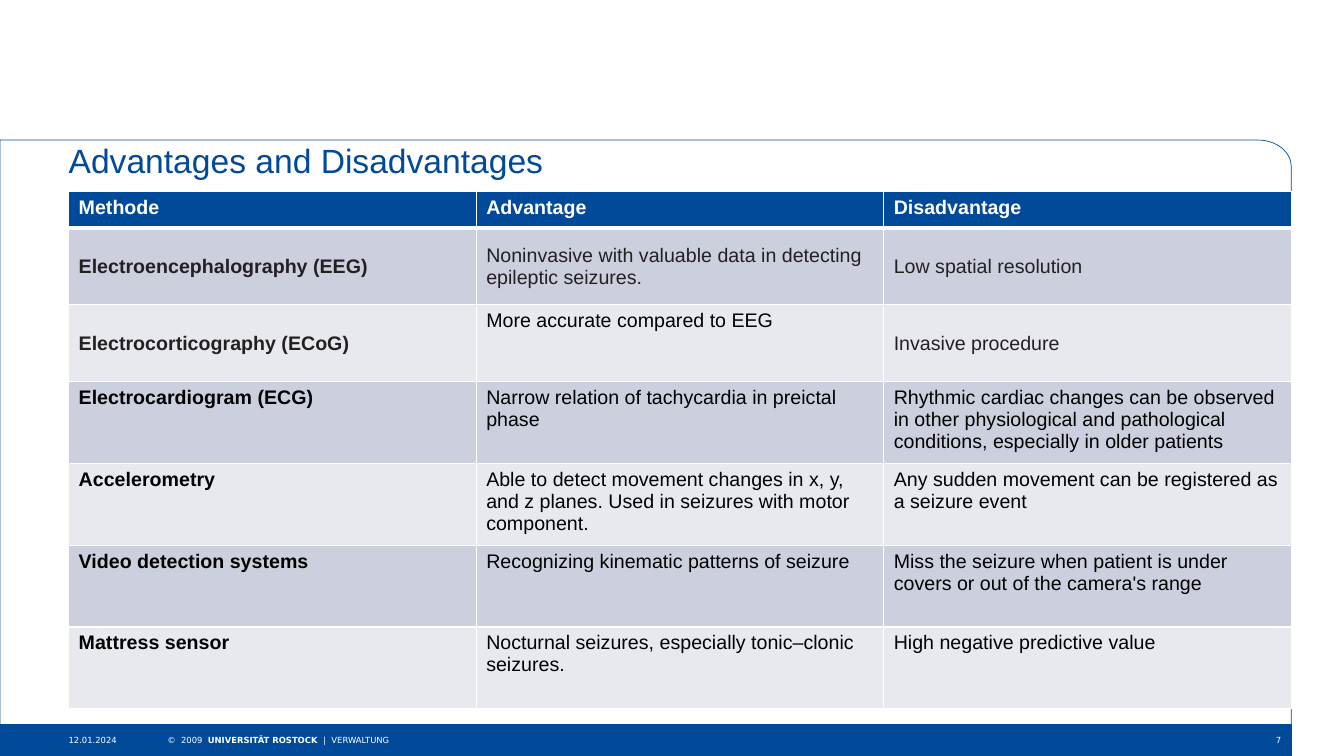
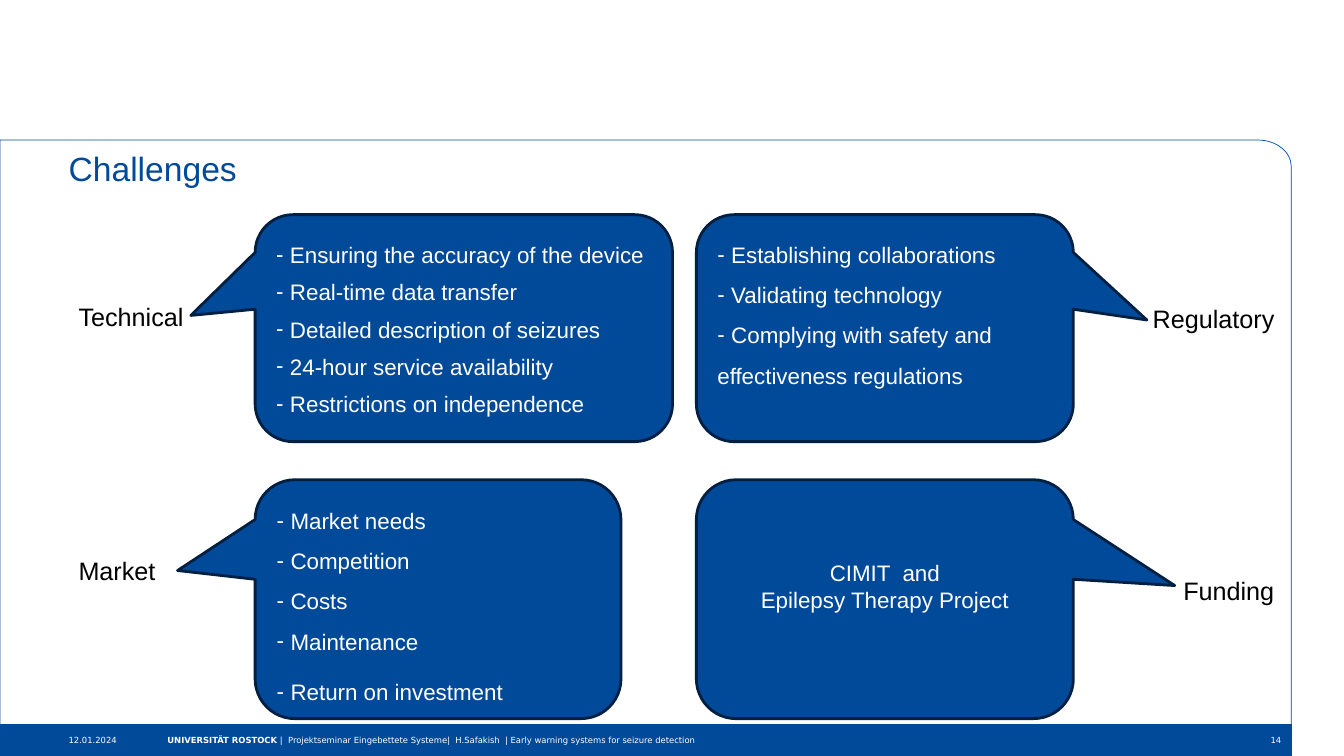
from pptx import Presentation
from pptx.dml.color import RGBColor
from pptx.enum.shapes import MSO_SHAPE
from pptx.enum.text import MSO_ANCHOR, MSO_AUTO_SIZE, PP_ALIGN
from pptx.oxml.ns import qn
from pptx.util import Cm, Pt
from lxml import etree
import math

BLUE = RGBColor(0x00, 0x4A, 0x99)
DARK_BLUE = RGBColor(0x00, 0x20, 0x43)
WHITE = RGBColor(0xFF, 0xFF, 0xFF)
BLACK = RGBColor(0, 0, 0)
CHARCOAL = RGBColor(0x24, 0x20, 0x21)
ROW_DARK = RGBColor(0xCC, 0xD0, 0xDE)
ROW_LIGHT = RGBColor(0xE7, 0xE9, 0xEF)

RECTANGLE = MSO_SHAPE.RECTANGLE
CALLOUT = MSO_SHAPE.ROUNDED_RECTANGULAR_CALLOUT
TOP, MIDDLE = MSO_ANCHOR.TOP, MSO_ANCHOR.MIDDLE
LEFT, CENTER, RIGHT = PP_ALIGN.LEFT, PP_ALIGN.CENTER, PP_ALIGN.RIGHT
NO_AUTOFIT = MSO_AUTO_SIZE.NONE

BODY_FONT, FOOTER_FONT = "Arial", "DejaVu Sans"
MARGIN = 1.73
FRAME_TOP, FRAME_RIGHT = 3.53, 32.54
BAND_TOP, BAND_HEIGHT = 18.26, 0.79
DATE = "12.01.2024"

METHODS = [
    ("Methode", "Advantage", "Disadvantage"),
    ("Electroencephalography (EEG)",
     "Noninvasive with valuable data in detecting epileptic seizures.",
     "Low spatial resolution"),
    ("Electrocorticography (ECoG)", "More accurate compared to EEG",
     "Invasive procedure"),
    ("Electrocardiogram (ECG)",
     "Narrow relation of tachycardia in preictal phase",
     "Rhythmic cardiac changes can be observed in other physiological and "
     "pathological conditions, especially in older patients"),
    ("Accelerometry",
     "Able to detect movement changes in x, y, and z planes. "
     "Used in seizures with motor component.",
     "Any sudden movement can be registered as a seizure event"),
    ("Video detection systems", "Recognizing kinematic patterns of seizure",
     "Miss the seizure when patient is under covers or out of the "
     "camera's range"),
    ("Mattress sensor",
     "Nocturnal seizures, especially tonic–clonic seizures.",
     "High negative predictive value"),
]
ROW_HEIGHTS = [0.91, 1.94, 1.94] + [2.06] * 4
CENTERED_CELLS = {(1, 0), (1, 1), (1, 2), (2, 0), (2, 2)}


def style(font, size, color, bold=False, name=BODY_FONT):
    font.name, font.size, font.bold = name, Pt(size), bold
    font.color.rgb = color


def set_insets(frame, left, top, right, bottom):
    frame.margin_left, frame.margin_top = Cm(left), Cm(top)
    frame.margin_right, frame.margin_bottom = Cm(right), Cm(bottom)


def add_text(slide, box, parts, size, color, name=BODY_FONT, anchor=TOP,
             align=LEFT, insets=(0.25, 0.13, 0.25, 0.13)):
    """Add one paragraph made of (text, bold) parts."""
    frame = slide.shapes.add_textbox(*map(Cm, box)).text_frame
    frame.word_wrap = True
    frame.vertical_anchor = anchor
    set_insets(frame, *insets)
    paragraph = frame.paragraphs[0]
    paragraph.alignment = align
    for text, bold in parts:
        run = paragraph.add_run()
        run.text = text
        style(run.font, size, color, bold, name)


def move_frame_to_layout(slide, layout):
    """Draw the footer band and rounded frame once, on the shared layout."""
    for placeholder in list(layout.placeholders):
        if placeholder.placeholder_format.idx != 0:
            layout.shapes.element.remove(placeholder.element)

    band = slide.shapes.add_shape(RECTANGLE, 0, Cm(BAND_TOP),
                                  Cm(FRAME_RIGHT), Cm(BAND_HEIGHT))
    band.fill.solid()
    band.fill.fore_color.rgb = BLUE

    radius_x, radius_y, steps = 0.84, 0.66, 16
    angles = [math.pi / 2 * step / steps for step in range(steps + 1)]
    corner = [(Cm(FRAME_RIGHT - radius_x * (1 - math.sin(angle))),
               Cm(FRAME_TOP + radius_y * (1 - math.cos(angle))))
              for angle in angles]
    outline = slide.shapes.build_freeform(0, Cm(FRAME_TOP))
    outline.add_line_segments(
        corner + [(Cm(FRAME_RIGHT), Cm(BAND_TOP)), (0, Cm(BAND_TOP))])
    frame = outline.convert_to_shape()
    frame.fill.background()

    for shape in (band, frame):
        shape.shadow.inherit = False
        shape.line.color.rgb = BLUE
        shape.line.width = Pt(0.5)
        layout.shapes.element.append(shape.element)


def add_title(slide, text, top, width):
    title = slide.shapes.title
    title.left, title.top = Cm(MARGIN), Cm(top)
    title.width, title.height = Cm(width), Cm(1.12)
    frame = title.text_frame
    frame.text = text
    frame.auto_size = NO_AUTOFIT
    frame.vertical_anchor = TOP
    set_insets(frame, 0, 0, 0, 0)
    frame.paragraphs[0].alignment = LEFT
    style(frame.paragraphs[0].runs[0].font, 24, BLUE)


def add_footer(slide, credit, number):
    fields = [
        (MARGIN, 2.49, [(DATE, False)], LEFT, 0, 0),
        (4.22, 26.64, credit, LEFT, 0, 0.25),
        (30.86, 1.68, [(number, False)], RIGHT, 0.25, 0.25),
    ]
    for left, width, parts, align, inset_left, inset_right in fields:
        add_text(slide, (left, BAND_TOP, width, BAND_HEIGHT), parts, 6, WHITE,
                 FOOTER_FONT, MIDDLE, align,
                 (inset_left, 0.13, inset_right, 0.13))


def set_borders(cell, bottom_width):
    properties = cell._tc.get_or_add_tcPr()
    for side, width in (("L", 1), ("R", 1), ("T", 1), ("B", bottom_width)):
        line = etree.SubElement(properties, qn(f"a:ln{side}"),
                                w=str(Pt(width)))
        fill = etree.SubElement(line, qn("a:solidFill"))
        etree.SubElement(fill, qn("a:srgbClr"), val=str(WHITE))


def add_methods_table(slide, left, top, width):
    table = slide.shapes.add_table(
        len(METHODS), len(METHODS[0]), Cm(left), Cm(top), Cm(width),
        Cm(sum(ROW_HEIGHTS))).table
    for row, height in zip(table.rows, ROW_HEIGHTS):
        row.height = Cm(height)
    for r, texts in enumerate(METHODS):
        for c, text in enumerate(texts):
            cell = table.cell(r, c)
            header, centered = r == 0, (r, c) in CENTERED_CELLS
            set_borders(cell, 3 if header else 1)
            cell.fill.solid()
            cell.fill.fore_color.rgb = (
                BLUE if header else ROW_DARK if r % 2 else ROW_LIGHT)
            cell.vertical_anchor = MIDDLE if centered else TOP
            cell.text_frame.text = text
            color = WHITE if header else CHARCOAL if centered else BLACK
            style(cell.text_frame.paragraphs[0].runs[0].font, 14, color,
                  header or c == 0)


def add_dash(paragraph):
    properties = paragraph._p.get_or_add_pPr()
    properties.set("marL", str(Cm(0.35)))
    properties.set("indent", str(-Cm(0.35)))
    etree.SubElement(properties, qn("a:buFont"), typeface=BODY_FONT)
    etree.SubElement(properties, qn("a:buChar"), char="-")


def add_callout(slide, box, tip, lines, spacing=1.5, after=0, last_before=0,
                bottom_inset=0.13, align=LEFT):
    """Add a speech bubble; lines starting with a dash become bullets."""
    callout = slide.shapes.add_shape(CALLOUT, *map(Cm, box))
    callout.adjustments[0], callout.adjustments[1] = tip
    callout.shadow.inherit = False
    callout.fill.solid()
    callout.fill.fore_color.rgb = BLUE
    callout.line.color.rgb = DARK_BLUE
    callout.line.width = Pt(2)
    frame = callout.text_frame
    frame.word_wrap = True
    frame.vertical_anchor = MIDDLE
    set_insets(frame, 0.25, 0.13, 0.25, bottom_inset)
    frame.text = "\n".join(line.removeprefix("- ") for line in lines)
    for paragraph, line in zip(frame.paragraphs, lines):
        paragraph.alignment = align
        paragraph.line_spacing = spacing
        paragraph.space_after = Pt(after)
        if last_before and line is lines[-1]:
            paragraph.space_before = Pt(last_before)
        if line.startswith("- "):
            add_dash(paragraph)
        style(paragraph.runs[0].font, 16, WHITE)


def add_challenges(slide, left, top):
    """Place four callouts in two rows and columns, with labels outside."""
    right, lower = left + 11.12, top + 6.68
    upper_height, lower_height, right_width = 5.72, 6.02, 9.5
    add_callout(slide, (right, top, right_width, upper_height),
                (0.695, -0.036),
                ["- Establishing collaborations", "- Validating technology",
                 "- Complying with safety and", "effectiveness regulations"],
                bottom_inset=1.14)
    add_callout(slide, (left, lower, 9.22, lower_height), (-0.712, -0.12),
                ["- Market needs", "- Competition", "- Costs",
                 "- Maintenance", "- Return on investment"], last_before=7)
    add_callout(slide, (right, lower, right_width, lower_height),
                (0.769, -0.057), ["CIMIT  and", "Epilepsy Therapy Project"],
                spacing=1, bottom_inset=0.8, align=CENTER)
    add_callout(slide, (left, top, 10.52, upper_height), (-0.654, -0.056),
                ["- Ensuring the accuracy of the device",
                 "- Real-time data transfer",
                 "- Detailed description of seizures",
                 "- 24-hour service availability",
                 "- Restrictions on independence"], spacing=1.07, after=6)

    labels = [("Technical", -4.7, 2.06, 3.38),
              ("Regulatory", 22.37, 2.11, 4.11),
              ("Market", -4.7, 8.46, 2.49),
              ("Funding", 23.14, 8.97, 2.97)]
    for label, dx, dy, width in labels:
        add_text(slide, (left + dx, top + dy, width, 1.02),
                 [(label, False)], 18, BLACK)


def main():
    deck = Presentation()
    deck.slide_width, deck.slide_height = Cm(33.87), Cm(19.05)
    layout = deck.slide_layouts[5]

    comparison = deck.slides.add_slide(layout)
    move_frame_to_layout(comparison, layout)
    add_title(comparison, "Advantages and Disadvantages", FRAME_TOP, 13.46)
    add_footer(comparison, [("©  2009  ", False),
                            ("UNIVERSITÄT ROSTOCK  ", True),
                            ("|  VERWALTUNG", False)], "7")
    add_methods_table(comparison, MARGIN, 4.83, FRAME_RIGHT - MARGIN)

    challenges = deck.slides.add_slide(layout)
    add_title(challenges, "Challenges", FRAME_TOP + 0.2, 4.7)
    add_footer(challenges, [
        ("UNIVERSITÄT ROSTOCK ", True),
        ("|  Projektseminar Eingebettete Systeme|  H.Safakish  "
         "| Early warning systems for seizure detection", False)], "14")
    add_challenges(challenges, 6.43, 5.41)

    deck.save("out.pptx")


if __name__ == "__main__":
    main()
